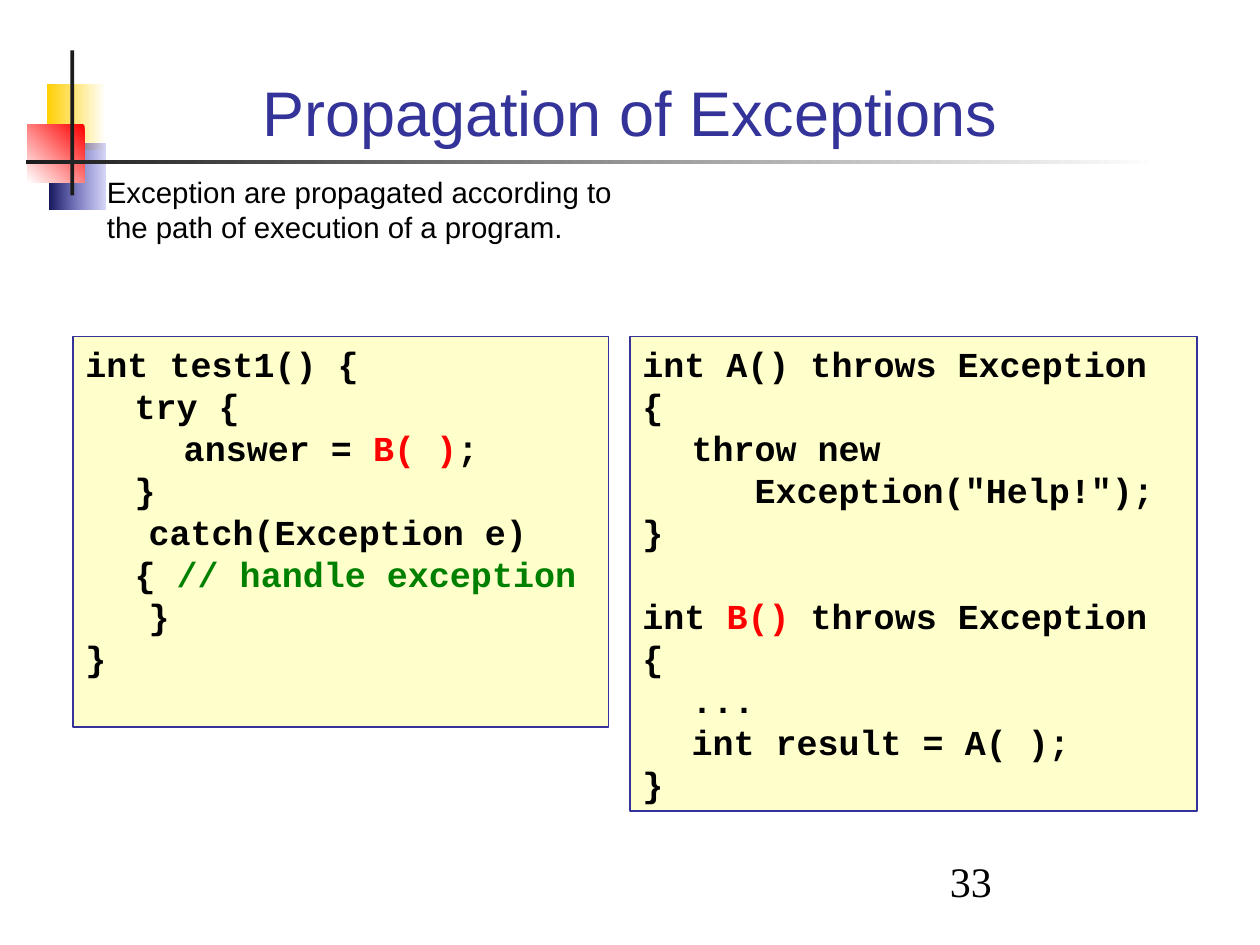
"""Build the slide on how exceptions propagate through a program."""
from lxml import etree
from pptx import Presentation
from pptx import util as u
from pptx.dml.color import RGBColor
from pptx.enum import shapes, text
from pptx.oxml import ns

THEME = {
    "navy": "333399", "ink": "000000", "dark": "1C1C1C", "white": "FFFFFF",
    "cream": "FFFFCC", "red": "FF0000", "green": "008000",
    "yellow": "FFCF01", "blue": "3333CC", "midnight": "17175E",
    "title": ("Arial", 36, "navy", False),
    "body": ("Arial", 16.8, "ink", False),
    "code": ("Courier New", 20, "ink", True),
    "number": ("Times New Roman", 24, "ink", False),
    "block_gap": 24,
}

DECOR = [
    ((0.37, 0.67, 0.47, 0.52), ("white", "yellow"), 180),
    ((0.39, 1.14, 0.45, 0.52), ("blue", "midnight"), 180),
    ((0.22, 0.99, 0.45, 0.46), ("red", "white"), 225),
    ((0.56, 0.4, 0.03, 1.15), ("dark",), None),
    ((0.21, 1.27, 8.99, 0.03), ("white", "dark"), 180),
]
TITLE = "Propagation of Exceptions"
BODY = "Exception are propagated according to the path of execution of a program."
NUMBER = "33"

THROWERS = [
    [
        ["int A() throws Exception"],
        ["{"],
        ["\tthrow new"],
        ['\t   Exception("Help!");'],
        ["}"],
    ],
    [
        ["int ", ("B()", "red"), " throws Exception {"],
        ["\t..."],
        ["\tint result = A( );"],
        ["}"],
    ],
]
CATCHER = [
    [
        ["int test1() {"],
        ["\ttry {"],
        ["\t\tanswer = ", ("B( )", "red"), ";"],
        ["\t}"],
        ["   catch(Exception e)"],
        ["\t{ ", ("// handle exception", "green")],
        ["   }"],
        ["}"],
    ],
]
CODE_BOXES = [((5, 2.67, 4.5, 3.77), THROWERS), ((0.58, 2.67, 4.25, 3.1), CATCHER)]
TAB_STOPS = [round(2.74 * i / 7, 2) for i in range(1, 8)]


def color(name):
    return RGBColor.from_string(THEME[name])


def add_rect(s, box):
    sp = s.shapes.add_shape(shapes.MSO_SHAPE.RECTANGLE, *map(u.Inches, box))
    sp.shadow.inherit = False
    return sp


def add_decor(s, box, names, angle):
    sp = add_rect(s, box)
    sp.line.fill.background()
    if angle is None:
        sp.fill.solid()
        sp.fill.fore_color.rgb = color(names[0])
        return
    sp.fill.gradient()
    sp.fill.gradient_angle = angle
    for stop, name in zip(sp.fill.gradient_stops, names):
        stop.color.rgb = color(name)
    if names[0] == "blue":
        tint = sp._element.spPr.find(".//" + ns.qn("a:srgbClr"))
        etree.SubElement(tint, ns.qn("a:alpha"), val="20000")


def style(p, role):
    name, size, ink, bold = THEME[role]
    p.font.name, p.font.size, p.font.bold = name, u.Pt(size), bold
    p.font.color.rgb = color(ink)


def add_text(s, box, words, role, align="LEFT", anchor="TOP"):
    tf = s.shapes.add_textbox(*map(u.Inches, box)).text_frame
    tf.word_wrap = True
    tf.vertical_anchor = text.MSO_ANCHOR[anchor]
    p = tf.paragraphs[0]
    p.text = words
    p.alignment = text.PP_ALIGN[align]
    style(p, role)


def add_tabs(p):
    tabs = etree.SubElement(p._p.get_or_add_pPr(), ns.qn("a:tabLst"))
    for stop in TAB_STOPS:
        etree.SubElement(tabs, ns.qn("a:tab"), pos=str(u.Inches(stop)), algn="l")


def add_code(s, box, blocks):
    sp = add_rect(s, box)
    sp.fill.solid()
    sp.fill.fore_color.rgb = color("cream")
    sp.line.color.rgb = color("navy")
    sp.line.width = u.Pt(1)
    tf = sp.text_frame
    tf.word_wrap = True
    tf.vertical_anchor = text.MSO_ANCHOR.TOP
    lines = [(b, i, line) for b, block in enumerate(blocks) for i, line in enumerate(block)]
    for n, (b, i, line) in enumerate(lines):
        p = tf.add_paragraph() if n else tf.paragraphs[0]
        p.alignment = text.PP_ALIGN.LEFT
        if b and not i:
            p.space_before = u.Pt(THEME["block_gap"])
        add_tabs(p)
        style(p, "code")
        for part in line:
            words, ink = (part, "ink") if isinstance(part, str) else part
            r = p.add_run()
            r.text = words
            r.font.color.rgb = color(ink)


def main():
    prs = Presentation()
    prs.slide_width, prs.slide_height = u.Inches(10), u.Inches(7.5)
    s = prs.slides.add_slide(prs.slide_layouts[6])
    for box, names, angle in DECOR:
        add_decor(s, box, names, angle)
    add_text(s, (0.67, 0.42, 8.66, 0.81), TITLE, "title", "CENTER", "BOTTOM")
    add_text(s, (0.75, 1.33, 4.25, 1.33), BODY, "body")
    for box, blocks in CODE_BOXES:
        add_code(s, box, blocks)
    add_text(s, (7.44, 6.74, 2.08, 0.5), NUMBER, "number", anchor="BOTTOM")
    prs.save("out.pptx")


if __name__ == "__main__":
    main()
